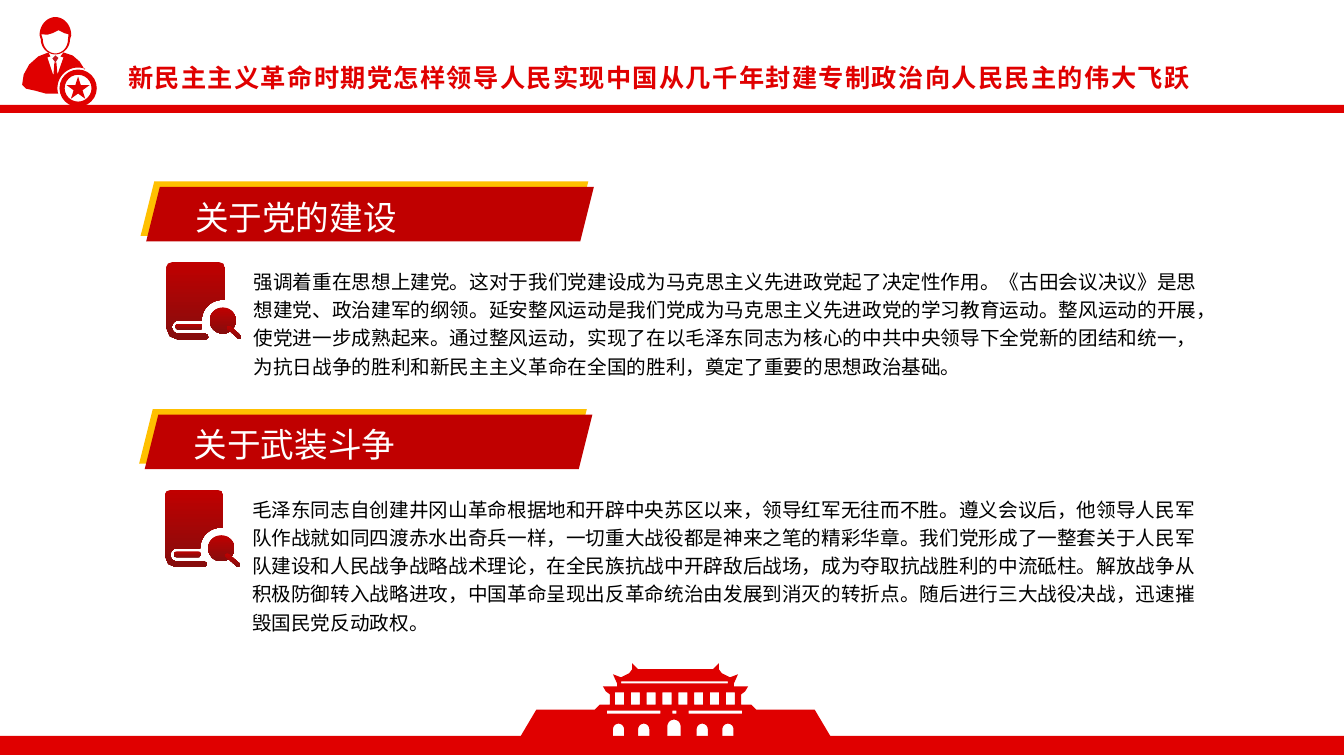
from math import cos, radians, sin

from lxml.etree import SubElement
from pptx import Presentation
from pptx.dml.color import RGBColor
from pptx.enum.shapes import MSO_SHAPE
from pptx.enum.text import MSO_ANCHOR, MSO_AUTO_SIZE, PP_ALIGN
from pptx.oxml.ns import qn
from pptx.util import Inches, Pt

COLUMNS, ROWS = 133.3, 75
FONT = "Noto Sans CJK SC"
COLORS = {"red": "E00000", "tie": "C61821", "banner": "C00000", "gold": "FFC000",
          "deep": "850D0D", "white": "FFFFFF", "black": "000000"}
COMPARISON_LAYOUT = 4

TITLE = "新民主主义革命时期党怎样领导人民实现中国从几千年封建专制政治向人民民主的伟大飞跃"
# heading, body, left column and top row of each section
SECTIONS = [
    ("关于党的建设",
     "强调着重在思想上建党。这对于我们党建设成为马克思主义先进政党起了决定性作用。"
     "《古田会议决议》是思想建党、政治建军的纲领。延安整风运动是我们党成为马克思主义先进政党的学习教育运动。"
     "整风运动的开展，使党进一步成熟起来。通过整风运动，实现了在以毛泽东同志为核心的中共中央领导下"
     "全党新的团结和统一，为抗日战争的胜利和新民主主义革命在全国的胜利，奠定了重要的思想政治基础。",
     13.95, 18),
    ("关于武装斗争",
     "毛泽东同志自创建井冈山革命根据地和开辟中央苏区以来，领导红军无往而不胜。遵义会议后，"
     "他领导人民军队作战就如同四渡赤水出奇兵一样，一切重大战役都是神来之笔的精彩华章。"
     "我们党形成了一整套关于人民军队建设和人民战争战略战术理论，在全民族抗战中开辟敌后战场，"
     "成为夺取抗战胜利的中流砥柱。解放战争从积极防御转入战略进攻，中国革命呈现出反革命统治"
     "由发展到消灭的转折点。随后进行三大战役决战，迅速摧毁国民党反动政权。",
     13.8, 40.6),
]


def grid(value):
    """Convert columns or rows (both a tenth of an inch) to a length."""
    return Inches(value / 10)


def arc(x, y, rx, ry, start, end, steps=24):
    """Points along an ellipse; angles in degrees, clockwise from the right."""
    angles = [radians(start + (end - start) * i / steps) for i in range(steps + 1)]
    return [(x + rx * cos(a), y + ry * sin(a)) for a in angles]


def box(left, top, right, bottom):
    return [(left, top), (right, top), (right, bottom), (left, bottom)]


def moved(points, left, top):
    return [(x + left, y + top) for x, y in points]


def mirrored(points, axis):
    """Close a left half with its reflection."""
    return points + [(2 * axis - x, y) for x, y in reversed(points)]


def write(shape, text, size, color, bold=False, line=1.0, tracking=0):
    frame = shape.text_frame
    frame.word_wrap = True
    frame.auto_size = MSO_AUTO_SIZE.NONE
    frame.vertical_anchor = MSO_ANCHOR.TOP
    paragraph = frame.paragraphs[0]
    paragraph.alignment = PP_ALIGN.LEFT
    paragraph.line_spacing = line
    paragraph.space_before = Pt(0)
    properties = paragraph._p.get_or_add_pPr()
    properties.set("marL", "0")
    properties.set("indent", "0")
    SubElement(properties, qn("a:buNone"))
    run = paragraph.add_run()
    run.text = text
    run.font.size, run.font.bold, run.font.name = Pt(size), bold, FONT
    run.font.color.rgb = RGBColor.from_string(COLORS[color])
    style = run._r.get_or_add_rPr()
    style.set("lang", "zh-CN")
    style.set("spc", str(tracking * 100))
    SubElement(style, qn("a:ea")).set("typeface", FONT)


class Canvas:
    def __init__(self, slide):
        self.slide = slide
        self.shapes = slide.shapes

    def paint(self, shape, fill):
        """Fill with one colour, or with a (top, bottom) gradient."""
        shape.shadow.inherit = False
        shape.line.fill.background()
        if isinstance(fill, tuple):
            shape.fill.gradient()
            shape.fill.gradient_angle = 270
            for stop, name in zip(shape.fill.gradient_stops, fill):
                stop.color.rgb = RGBColor.from_string(COLORS[name])
        else:
            shape.fill.solid()
            shape.fill.fore_color.rgb = RGBColor.from_string(COLORS[fill])

    def preset(self, kind, left, top, width, height, fill, adjust=None):
        shape = self.shapes.add_shape(kind, *map(grid, (left, top, width, height)))
        if adjust is not None:
            shape.adjustments[0] = adjust
        self.paint(shape, fill)

    def outline(self, contours, fill):
        """Draw the first contour with the others cut out of it."""
        first, *rest = [[(grid(x), grid(y)) for x, y in c] for c in contours]
        builder = self.shapes.build_freeform(*first[0])
        builder.add_line_segments(first[1:])
        for hole in rest:
            builder.move_to(*hole[0])
            builder.add_line_segments(hole[1:])
        self.paint(builder.convert_to_shape(), fill)

    def placeholder(self, index, left, top, width, height, text, **style):
        """Place a placeholder in front of everything drawn so far."""
        holder = next(p for p in self.slide.placeholders
                      if p.placeholder_format.idx == index)
        holder.left, holder.top, holder.width, holder.height = map(
            grid, (left, top, width, height))
        write(holder, text, **style)
        self.shapes._spTree.append(holder._element)

    def delegate(self):
        """Person with a star badge."""
        hair = arc(5.5, 3.5, 1.57, 1.8, 180, 360) + arc(5.5, 3.9, 1.45, 1.5, 0, 180)
        face = [(4.1, 3.4), (4.7, 3.45), (5.2, 3.3), (5.8, 3), (6.4, 3.3), (6.8, 3.4)]
        self.outline([hair, face + arc(5.5, 3.9, 1.25, 1.4, 0, 180)], "red")
        collar = [(3.8, 5.6), (4.8, 5.2), (5, 5.6), (4.7, 5.7), (5.3, 7.5), (5.4, 6.2),
                  (5.6, 6.2), (5.7, 7.4), (6.3, 5.7), (6, 5.6), (6.3, 5.2)]
        right_arm = [(7.2, 5.5), (7.9, 6.1), (8.4, 6.9)]
        left_arm = [(5.8, 9.3), (4.6, 9.3), (3.5, 9), (2.6, 8.8), (2.2, 8.4),
                    (2.35, 7.4), (2.9, 6.4)]
        self.outline([collar + right_arm + arc(7.75, 8.75, 2.05, 2.05, 290, 165)
                      + left_arm], "red")
        self.outline([[(5.2, 5.8), (5.5, 5.5), (5.8, 5.75), (5.5, 6.2)]], "tie")
        self.preset(MSO_SHAPE.DONUT, 5.9, 6.9, 3.7, 3.7, "red", 0.14)
        self.preset(MSO_SHAPE.STAR_5_POINT, 6.6, 7.6, 2.3, 2.2, "red")

    def gate(self):
        left_half = [(51.6, 73.1), (53.2, 70.4), (59, 70.4), (59.5, 69.9), (60.5, 69.9),
                     (60.5, 68.9), (60.1, 68.6), (59.8, 68.1), (61.2, 68.1), (61.2, 67.8),
                     (60.8, 66.9), (61.6, 67.2), (62.4, 66.8), (62.7, 66.4), (62.7, 65.8),
                     (63.3, 66.4)]
        windows = [box(61 + 1.57 * i, 68.7, 61.9 + 1.57 * i, 69.9) for i in range(8)]
        beams = [box(61.6, 67.6, 72.2, 67.8)] + [
            box(left, 70.5, right, 70.8)
            for left, right in ((60.2, 65.5), (66.7, 67.1), (68.3, 73.6))]
        doors = [[(x - r, 73.1), *arc(x, top + r, r, r, 180, 360), (x + r, 73.1)]
                 for x, r, top in ((61.35, 0.55, 71.8), (63.85, 0.55, 71.8),
                                   (66.85, 0.65, 71.4), (69.65, 0.55, 71.8),
                                   (72.2, 0.55, 71.8))]
        self.outline([mirrored(left_half, 67), *windows, *beams, *doors], "red")

    def book(self, left, top):
        """Book with a magnifier."""
        shade = ("banner", "deep")
        cover = [(0, 0.5), (0.15, 0.15), (0.6, 0), (5.2, 0), (5.65, 0.15), (5.8, 0.5)]
        spine = [(3.8, 7.1), (4.1, 7.2), (4.15, 7.5), (3.9, 7.7), (1.2, 7.7),
                 (0.35, 7.35), (0, 6.5)]
        self.outline([moved(cover + arc(5.55, 5.8, 2.05, 2.05, 277, 180)
                            + arc(1.2, 6.45, 0.65, 0.65, 270, 90) + spine, left, top)],
                     shade)
        self.preset(MSO_SHAPE.ROUNDED_RECTANGLE, left + 0.9, top + 6.1, 2.7, 0.6, shade, 0.5)
        self.preset(MSO_SHAPE.OVAL, left + 4.3, top + 4.5, 2.6, 2.6, shade)
        self.outline([moved(arc(6.2, 6.5, 0.2, 0.2, 130, 310)
                            + arc(7.25, 7.42, 0.2, 0.2, -50, 130), left, top)], shade)

    def section(self, index, heading, body, left, top):
        for offset, color in ((0, "gold"), (0.55, "banner")):
            self.preset(MSO_SHAPE.PARALLELOGRAM, left + offset, top + offset,
                        44.4, 5.4, color, 0.25)
        self.placeholder(index, left + 4.4, top + 0.2, 35.6, 5.8, heading,
                         size=24, color="white", line=1.2)
        self.book(left + 2.55, top + 8)
        self.placeholder(index + 1, left + 10.2, top + 7.8, 96.3, 15.1, body,
                         size=14, color="black", line=1.2)


def main():
    deck = Presentation()
    deck.slide_width, deck.slide_height = grid(COLUMNS), grid(ROWS)
    canvas = Canvas(deck.slides.add_slide(deck.slide_layouts[COMPARISON_LAYOUT]))
    canvas.delegate()
    canvas.preset(MSO_SHAPE.RECTANGLE, 0, 73, COLUMNS, 1.9, "red")
    canvas.gate()
    canvas.preset(MSO_SHAPE.RECTANGLE, 0, 10.4, COLUMNS, 0.8, "red")
    canvas.placeholder(0, 11.7, 5.7, 117, 4, TITLE,
                       size=18, color="red", bold=True, tracking=1)
    for number, section in enumerate(SECTIONS):
        canvas.section(1 + 2 * number, *section)
    deck.save("out.pptx")


if __name__ == "__main__":
    main()
